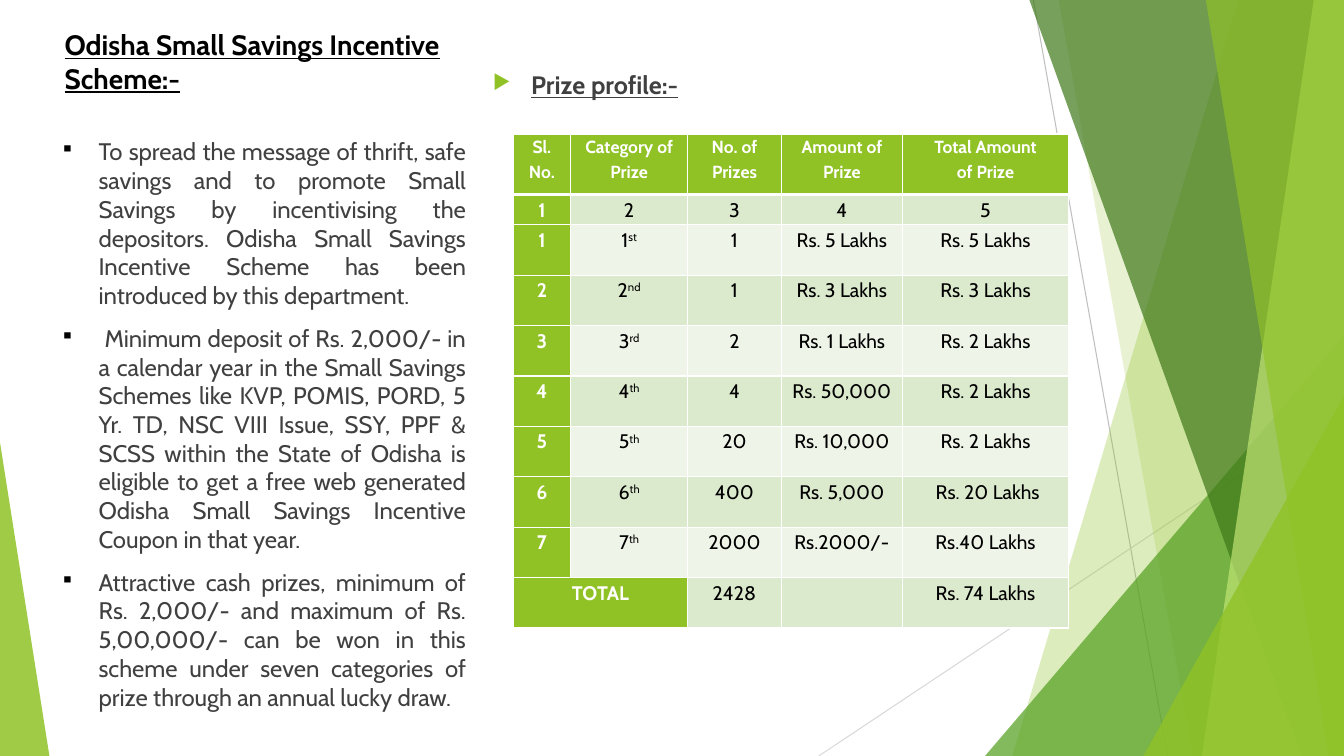
"""Build the Odisha Small Savings Incentive Scheme slide."""
from lxml.etree import SubElement as Sub
from pptx import Presentation
from pptx.dml.color import RGBColor as RGB
from pptx.enum.shapes import MSO_CONNECTOR as Link, MSO_SHAPE as Shape
from pptx.enum.text import MSO_ANCHOR as Anchor, PP_ALIGN as Align
from pptx.oxml.ns import qn
from pptx.util import Pt

PX = 9144
WIDE, HIGH = 1333, 750
FONT = "Cabin"
HUES = {
    "lime": "90C226", "green": "54A021", "dark": "3F7819", "pale": "C0E474",
    "ink": "000000", "text": "404040", "white": "FFFFFF",
    "even": "DBE9CD", "odd": "EEF4E8", "gray": "BFBFBF", "mist": "D9D9D9",
}
TITLE = "Odisha Small Savings Incentive Scheme:-"
PRIZE = "Prize profile:-"
POINTS = [
    "To spread the message of thrift, safe savings and to promote Small Savings by "
    "incentivising the depositors. Odisha Small Savings Incentive Scheme has been "
    "introduced by this department.",
    " Minimum deposit of Rs. 2,000/- in a calendar year in the Small Savings Schemes "
    "like KVP, POMIS, PORD, 5 Yr. TD, NSC VIII Issue, SSY, PPF & SCSS within the State "
    "of Odisha is eligible to get a free web generated Odisha Small Savings Incentive "
    "Coupon in that year.",
    "Attractive cash prizes, minimum of Rs. 2,000/- and maximum of Rs. 5,00,000/- can "
    "be won in this scheme under seven categories of prize through an annual lucky draw.",
]
ROWS = [
    ("Sl. No.", "Category of Prize", "No. of Prizes", "Amount of Prize",
     "Total Amount\nof Prize"),
    ("1", "2", "3", "4", "5"),
    ("1", "1^st", "1", "Rs. 5 Lakhs", "Rs. 5 Lakhs"),
    ("2", "2^nd", "1", "Rs. 3 Lakhs", "Rs. 3 Lakhs"),
    ("3", "3^rd", "2", "Rs. 1 Lakhs", "Rs. 2 Lakhs"),
    ("4", "4^th", "4", "Rs. 50,000", "Rs. 2 Lakhs"),
    ("5", "5^th", "20", "Rs. 10,000", "Rs. 2 Lakhs"),
    ("6", "6^th", "400", "Rs. 5,000", " Rs. 20 Lakhs"),
    ("7", "7^th", "2000", "Rs.2000/-", "Rs.40 Lakhs"),
    ("TOTAL", "", "2428", "", "Rs. 74 Lakhs"),
]
COLS = [57, 116, 93, 120, 165]
TALL = [60, 30] + [50] * 8
LINES = [((1025, 0), (1158, HIGH), "gray"), ((WIDE, 403), (812, HIGH), "mist")]
DECOR = [
    ("band", (1228, 1004), "lime", 30),
    ("band", (1050, 1183), "lime", 20),
    ("peak", (977, 333, 356, 417, 1), "green", 72),
    ("band", (1021, 1291), "dark", 70),
    ("band", (1303, 1192), "pale", 70),
    ("band", (1196, 1318), "lime", 65),
    ("peak", (1134, 393, 199, 357, 1), "lime", 80),
    ("peak", (0, 439, 49, 311, 0), "lime", 85),
]


def hue(name):
    return RGB.from_string(HUES[name])


def emu(*sizes):
    return [size * PX for size in sizes]


def style(par, size, color, bold=False, line=False):
    for run in par.runs:
        font = run.font
        font.name, font.size, font.bold = FONT, Pt(size), bold
        font.underline = line
        font.color.rgb = hue(color)


def link(start, end, color):
    wire = slide.shapes.add_connector(Link.STRAIGHT, *emu(*start, *end))
    wire.line.color.rgb, wire.line.width = hue(color), Pt(0.75)
    Sub(wire._element.spPr, qn("a:effectLst"))


def decor(kind, spot, color, alpha):
    if kind == "band":
        top, base = spot
        pen = slide.shapes.build_freeform(top, 0, scale=PX)
        pen.add_line_segments([(WIDE, 0), (WIDE, HIGH), (base, HIGH)], close=True)
        part = pen.convert_to_shape()
    else:
        part = slide.shapes.add_shape(Shape.ISOSCELES_TRIANGLE, *emu(*spot[:4]))
        part.adjustments[0] = spot[4]
    part.shadow.inherit = False
    part.line.fill.background()
    part.fill.solid()
    part.fill.fore_color.rgb = hue(color)
    tint = part._element.spPr.find(".//" + qn("a:srgbClr"))
    Sub(tint, qn("a:alpha"), val=str(alpha * 1000))


def bullet(par, mark, color):
    props = par._p.get_or_add_pPr()
    props.set("marL", str(38 * PX))
    props.set("indent", str(-38 * PX))
    Sub(Sub(props, qn("a:buClr")), qn("a:srgbClr"), val=HUES[color])
    Sub(props, qn("a:buSzPct"), val="80000")
    Sub(props, qn("a:buChar"), char=mark)


def points(spot, texts, mark, tint, align, *look):
    frame = slide.shapes.add_textbox(*emu(*spot)).text_frame
    frame.word_wrap = True
    frame.text = "\n".join(texts)
    for i, par in enumerate(frame.paragraphs):
        bullet(par, mark, tint)
        par.alignment = align
        if i:
            par.space_before = Pt(10)
        style(par, *look)


def edges(cell, row):
    props = cell._tc.get_or_add_tcPr()
    thick = {"lnT": row == 1, "lnB": row == 0}
    for side in ("lnL", "lnR", "lnT", "lnB"):
        width = Pt(3 if thick.get(side) else 1)
        edge = Sub(props, qn("a:" + side), w=str(width))
        Sub(Sub(edge, qn("a:solidFill")), qn("a:srgbClr"), val=HUES["white"])


def fill(cell, text, row, col):
    head = row == 0 or col == 0
    edges(cell, row)
    cell.fill.solid()
    cell.fill.fore_color.rgb = hue("lime" if head else "even" if row % 2 else "odd")
    cell.margin_left = cell.margin_right = 7 * PX
    cell.margin_top = cell.margin_bottom = 0
    base, _, rank = text.partition("^")
    cell.text_frame.text = base
    if rank:
        run = cell.text_frame.paragraphs[0].add_run()
        run.text = rank
        run._r.get_or_add_rPr().set("baseline", "30000")
    for par in cell.text_frame.paragraphs:
        par.alignment, par.line_spacing = Align.CENTER, 1.15
        style(par, 14 if row else 12.5, "white" if head else "ink", head)


def prizes():
    spot = emu(509, 133, sum(COLS), sum(TALL))
    table = slide.shapes.add_table(len(ROWS), len(COLS), *spot).table
    for col, width in zip(table.columns, COLS):
        col.width = width * PX
    for row, height in zip(table.rows, TALL):
        row.height = height * PX
    for r, texts in enumerate(ROWS):
        for c, text in enumerate(texts):
            fill(table.cell(r, c), text, r, c)
    last = len(ROWS) - 1
    table.cell(last, 0).merge(table.cell(last, 1))


def heading():
    title = slide.shapes.title
    title.left, title.top, title.width, title.height = emu(54, 32, 422, 100)
    frame = title.text_frame
    frame.text, frame.word_wrap = TITLE, True
    frame.vertical_anchor = Anchor.BOTTOM
    frame.margin_bottom = 38 * PX
    par = frame.paragraphs[0]
    par.alignment = Align.LEFT
    style(par, 20, "ink", True, True)


deck = Presentation()
deck.slide_width, deck.slide_height = emu(WIDE, HIGH)
slide = deck.slides.add_slide(deck.slide_layouts[5])
for item in LINES:
    link(*item)
for item in DECOR:
    decor(*item)
heading()
points((479, 64, 494, 604), [PRIZE], "▶", "lime", Align.LEFT, 18, "text", True, True)
points((50, 131, 422, 566), POINTS, "▪", "ink", Align.JUSTIFY, 17.1, "text")
prizes()
deck.save("out.pptx")
